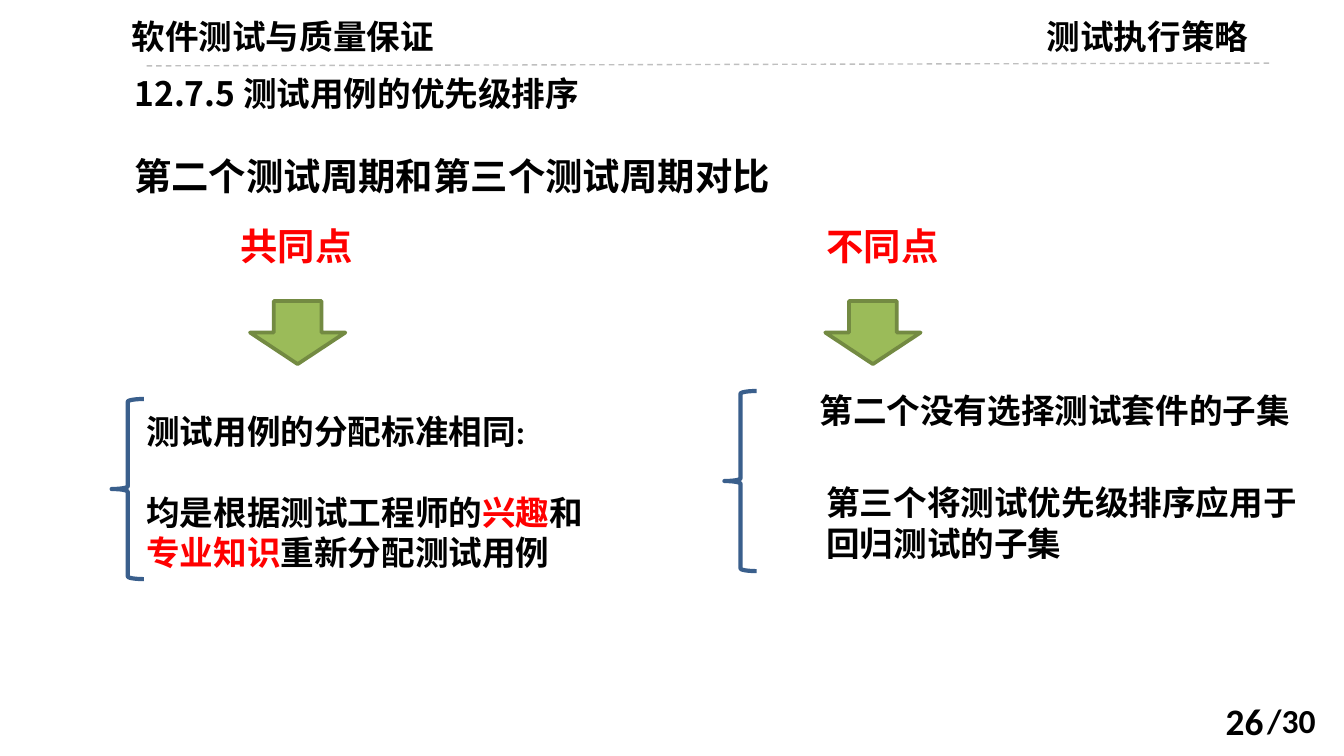
from pptx import Presentation
from pptx.dml.color import RGBColor
from pptx.enum import dml, shapes, text
from pptx.oxml.ns import qn
from pptx.util import Pt
from lxml import etree

BLACK = RGBColor(0x00, 0x00, 0x00)
RED = RGBColor(0xFF, 0x00, 0x00)
GRAY = RGBColor(0xBF, 0xBF, 0xBF)
GREEN = RGBColor(0x9B, 0xBB, 0x59)
DARK_GREEN = RGBColor(0x73, 0x8A, 0x42)
BLUE = RGBColor(0x3A, 0x5F, 0x8C)
LATIN_FONT = "Calibri"
CHINESE_FONT = "Noto Sans CJK SC"


def style_paragraph(paragraph, size, color=BLACK, font=LATIN_FONT, align=text.PP_ALIGN.LEFT):
    paragraph.alignment = align
    paragraph.font.name = font
    paragraph.font.size = Pt(size)
    paragraph.font.bold = True
    if color is not None:
        paragraph.font.color.rgb = color


def add_text(content, left, top, width, height, size=18, **style):
    box = slide.shapes.add_textbox(Pt(left), Pt(top), Pt(width), Pt(height))
    box.text_frame.word_wrap = True
    paragraph = box.text_frame.paragraphs[0]
    paragraph.text = content
    style_paragraph(paragraph, size, **style)
    return box


presentation = Presentation()
presentation.slide_width = Pt(720)
presentation.slide_height = Pt(405)
slide = presentation.slides.add_slide(presentation.slide_layouts[5])

title = slide.shapes.title
title.left, title.top, title.width, title.height = Pt(64.8), Pt(35.3), Pt(521.3), Pt(29)
title.text_frame.text = "12.7.5 测试用例的优先级排序"
title.text_frame.vertical_anchor = text.MSO_ANCHOR.TOP
title.text_frame.auto_size = text.MSO_AUTO_SIZE.NONE
style_paragraph(title.text_frame.paragraphs[0], 18, font=CHINESE_FONT)

add_text("软件测试与质量保证", 44.6, 5, 213.8, 29, font=CHINESE_FONT, align=text.PP_ALIGN.CENTER)
add_text("测试执行策略", 553.7, 5, 272.2, 29)

divider = slide.shapes.add_connector(
    shapes.MSO_CONNECTOR.STRAIGHT, Pt(78.5), Pt(35.3), Pt(681.8), Pt(33.8))
divider.line.color.rgb = GRAY
divider.line.width = Pt(0.75)
divider.line.dash_style = dml.MSO_LINE.DASH
etree.SubElement(divider.element.spPr, qn("a:effectLst"))

add_text("第二个测试周期和第三个测试周期对比", 64.8, 78.5, 398.9, 31.7, size=20)

columns = [
    ("共同点", 121.7, 133.9, 59.8, 213.8),
    ("不同点", 435.6, 442.1, 388.1, 209.5),
]
for heading, heading_left, arrow_left, brace_left, brace_top in columns:
    add_text(heading, heading_left, 115.9, 150.5, 31.7, size=20, color=RED)

    arrow = slide.shapes.add_shape(
        shapes.MSO_SHAPE.DOWN_ARROW, Pt(arrow_left), Pt(161.3), Pt(51.1), Pt(33.8))
    arrow.shadow.inherit = False
    arrow.fill.solid()
    arrow.fill.fore_color.rgb = GREEN
    arrow.line.color.rgb = DARK_GREEN
    arrow.line.width = Pt(2)

    brace = slide.shapes.add_shape(
        shapes.MSO_SHAPE.LEFT_BRACE, Pt(brace_left), Pt(brace_top), Pt(17.3), Pt(96.5))
    brace.shadow.inherit = False
    brace.fill.background()
    brace.line.color.rgb = BLUE
    brace.line.width = Pt(2.25)

common = add_text("测试用例的分配标准相同:", 71.3, 216.7, 262.8, 94.3)
reason = common.text_frame.add_paragraph()
reason.space_before = Pt(21.7)
style_paragraph(reason, 18, color=None)
for content, color in [
    ("均是根据测试工程师的", BLACK),
    ("兴趣", RED),
    ("和", BLACK),
    ("专业知识", RED),
    ("重新分配测试用例", BLACK),
]:
    run = reason.add_run()
    run.text = content
    run.font.color.rgb = color

add_text("第二个没有选择测试套件的子集", 432, 205.2, 278.6, 29)
add_text("第三个将测试优先级排序应用于回归测试的子集", 435.6, 254.9, 278.6, 51)

page_number = add_text("26", 516.2, 375.1, 167.8, 21.6, size=20, align=text.PP_ALIGN.RIGHT)
page_number.text_frame.vertical_anchor = text.MSO_ANCHOR.MIDDLE
add_text("/30", 671.8, 371.5, 47.5, 29)

presentation.save("out.pptx")
